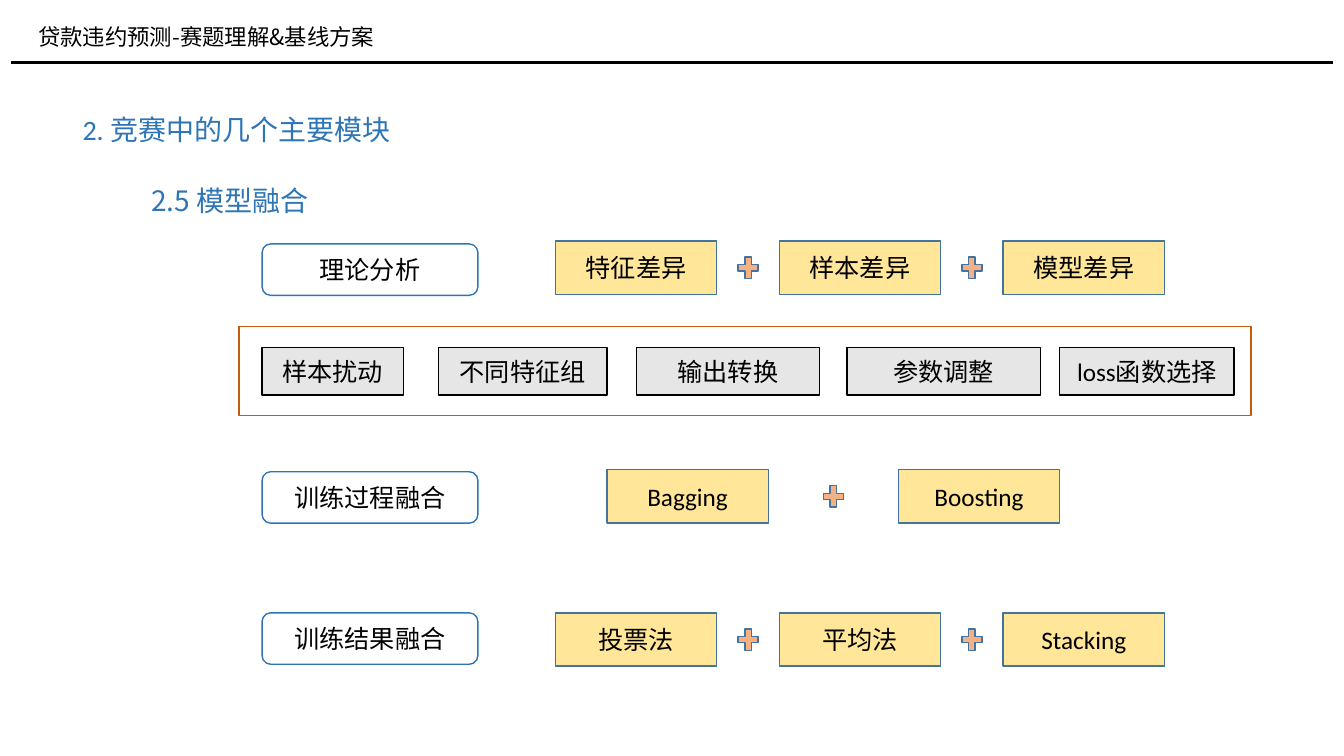
from lxml import etree
from pptx import Presentation
from pptx.dml.color import RGBColor
from pptx.enum.shapes import MSO_CONNECTOR, MSO_SHAPE
from pptx.enum.text import MSO_ANCHOR, PP_ALIGN
from pptx.oxml.ns import qn
from pptx.util import Inches, Pt

BLACK = RGBColor(0x00, 0x00, 0x00)
BLUE = RGBColor(0x2E, 0x75, 0xB6)
STEEL = RGBColor(0x43, 0x73, 0x9E)
YELLOW = RGBColor(0xFF, 0xE6, 0x99)
PEACH = RGBColor(0xF4, 0xB1, 0x83)
GRAY = RGBColor(0xE7, 0xE6, 0xE6)
ORANGE = RGBColor(0xC5, 0x5A, 0x11)
CJK, LATIN = "Noto Sans CJK SC", "Calibri"

HEADER = "贷款违约预测-赛题理解&基线方案"
SECTION = "2. 竞赛中的几个主要模块"
SUBSECTION = "2.5 模型融合"

# stage, stage top, method top, first method left, method pitch, methods
STAGES = [
    ("理论分析", 2.42, 2.39, 5.51, 2.22, ["特征差异", "样本差异", "模型差异"]),
    ("训练过程融合", 4.68, 4.66, 6.02, 2.89, ["Bagging", "Boosting"]),
    ("训练结果融合", 6.08, 6.08, 5.51, 2.22, ["投票法", "平均法", "Stacking"]),
]
# source of difference, left, width
SOURCES = [
    ("样本扰动", 2.6, 1.4),
    ("不同特征组", 4.35, 1.67),
    ("输出转换", 6.31, 1.82),
    ("参数调整", 8.4, 1.92),
    ("loss函数选择", 10.51, 1.73),
]
STAGE_LEFT, STAGE_W, STAGE_H = 2.6, 2.14, 0.51
METHOD_W, METHOD_H = 1.6, 0.53
PLUS_W, PLUS_H = 0.27, 0.29
SOURCE_TOP, SOURCE_H = 3.45, 0.47


def write(tf, text, size, font, color, align=PP_ALIGN.LEFT):
    tf.text = text
    p = tf.paragraphs[0]
    p.alignment = align
    for r in p.runs:
        r.font.size = Pt(size)
        r.font.color.rgb = color
        r.font.name = font
        etree.SubElement(r.font._element, qn("a:ea"), typeface=CJK)
    return p


def add_heading(slide, text, box, size, font):
    tf = slide.shapes.add_textbox(*map(Inches, box)).text_frame
    tf.word_wrap = True
    return write(tf, text, size, font, BLUE)


def add_box(slide, kind, box, fill, line, text=""):
    sp = slide.shapes.add_shape(kind, *map(Inches, box))
    sp.shadow.inherit = False
    if fill is None:
        sp.fill.background()
    else:
        sp.fill.solid()
        sp.fill.fore_color.rgb = fill
    sp.line.color.rgb = line
    sp.line.width = Pt(1)
    if text:
        sp.text_frame.vertical_anchor = MSO_ANCHOR.MIDDLE
        write(sp.text_frame, text, 18, LATIN, BLACK, PP_ALIGN.CENTER)


def add_header(slide):
    rule = slide.shapes.add_connector(
        MSO_CONNECTOR.STRAIGHT, Inches(0.11), Inches(0.62), Inches(13.22), Inches(0.62))
    rule.line.color.rgb = BLACK
    rule.line.width = Pt(2.25)
    etree.SubElement(rule._element.spPr, qn("a:effectLst"))

    title = slide.shapes.title
    title.left, title.top = Inches(0.28), Inches(0.18)
    title.width, title.height = Inches(4.98), Inches(0.37)
    title.text_frame.vertical_anchor = MSO_ANCHOR.TOP
    write(title.text_frame, HEADER, 16, CJK, BLACK)


def add_stage(slide, stage, stage_top, top, left, pitch, methods):
    add_box(slide, MSO_SHAPE.ROUNDED_RECTANGLE,
            (STAGE_LEFT, stage_top, STAGE_W, STAGE_H), None, BLUE, stage)
    for i, method in enumerate(methods):
        x = left + i * pitch
        add_box(slide, MSO_SHAPE.RECTANGLE, (x, top, METHOD_W, METHOD_H),
                YELLOW, STEEL, method)
        if i:
            gap_center = x - (pitch - METHOD_W) / 2
            add_box(slide, MSO_SHAPE.MATH_PLUS,
                    (gap_center - PLUS_W / 2, top + (METHOD_H - PLUS_H) / 2, PLUS_W, PLUS_H),
                    PEACH, STEEL)


def main():
    prs = Presentation()
    prs.slide_width, prs.slide_height = Inches(13.33), Inches(7.5)
    slide = prs.slides.add_slide(prs.slide_layouts[5])

    add_header(slide)
    add_heading(slide, SECTION, (0.72, 1.07, 7.11, 0.44), 20, LATIN)
    p = add_heading(slide, SUBSECTION, (1.4, 1.62, 8.09, 0.59), 20, CJK)
    p.line_spacing = Pt(35)

    for stage in STAGES:
        add_stage(slide, *stage)
    for source, left, width in SOURCES:
        add_box(slide, MSO_SHAPE.RECTANGLE, (left, SOURCE_TOP, width, SOURCE_H),
                GRAY, BLACK, source)
    add_box(slide, MSO_SHAPE.RECTANGLE, (2.37, 3.24, 10.04, 0.88), None, ORANGE)

    prs.save("out.pptx")


if __name__ == "__main__":
    main()
